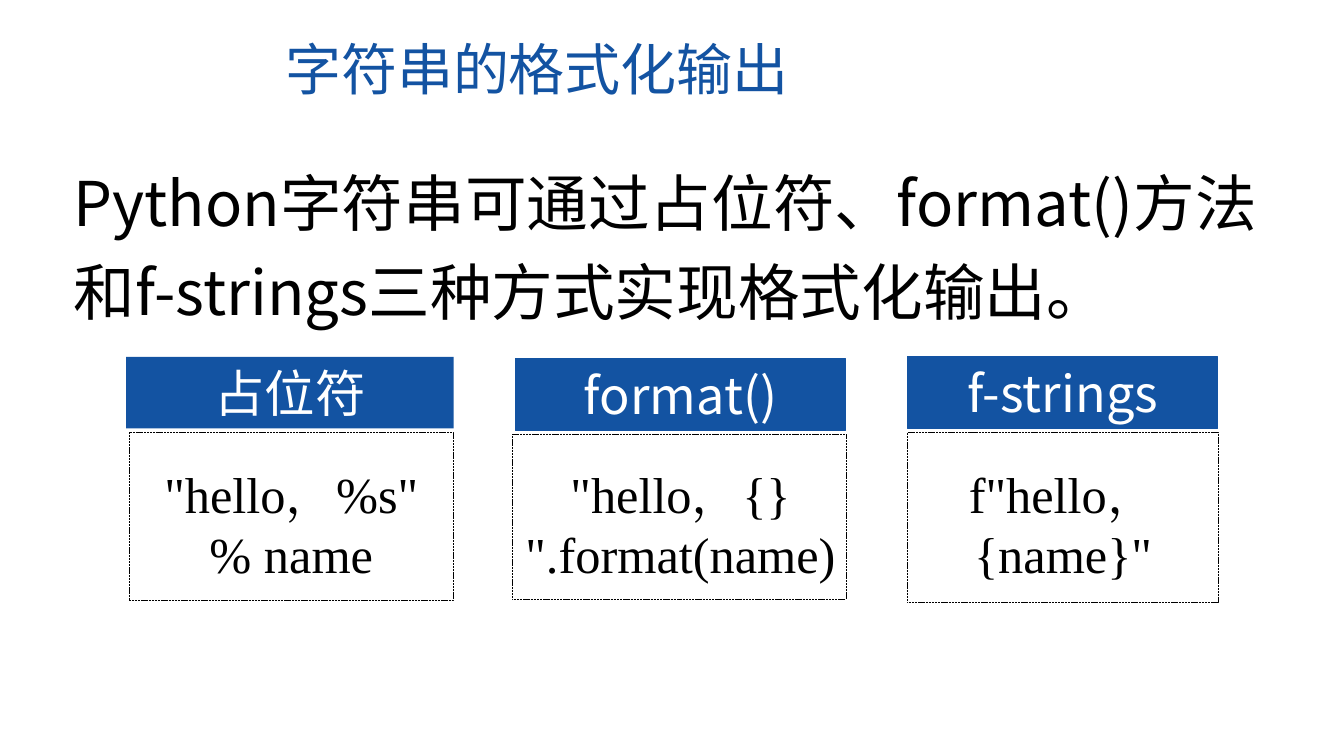
from lxml.etree import SubElement
from pptx import Presentation
from pptx.dml.color import RGBColor
from pptx.enum.dml import MSO_LINE
from pptx.enum.shapes import MSO_SHAPE
from pptx.enum.text import MSO_ANCHOR as Anchor, PP_ALIGN as Align
from pptx.oxml.ns import qn
from pptx.util import Inches, Pt

COLORS = {"blue": "1353A2", "black": "000000", "white": "FFFFFF"}
SANS = "Noto Sans CJK SC"
SERIF = "Times New Roman"


class SlideBuilder:
    def __init__(self, slide):
        self.slide = slide

    def color(self, name):
        return RGBColor.from_string(COLORS[name])

    def fill_text(self, shape, text, size, font, color, align, spacing=None):
        frame = shape.text_frame
        frame.word_wrap = True
        paragraph = frame.paragraphs[0]
        paragraph.text = text
        paragraph.alignment = align
        if spacing:
            paragraph.line_spacing = spacing
        paragraph.font.size = Pt(size)
        paragraph.font.name = font
        paragraph.font.color.rgb = self.color(color)
        defaults = paragraph._p.pPr.find(qn("a:defRPr"))
        SubElement(defaults, qn("a:ea")).set("typeface", font)

    def text(self, box, text, size, font=SANS, color="black", align=Align.LEFT, spacing=None):
        shape = self.slide.shapes.add_textbox(*map(Inches, box))
        self.fill_text(shape, text, size, font, color, align, spacing)

    def rectangle(self, box):
        shape = self.slide.shapes.add_shape(MSO_SHAPE.RECTANGLE, *map(Inches, box))
        shape.shadow.inherit = False
        return shape

    def frame(self, box):
        shape = self.rectangle(box)
        shape.fill.background()
        shape.line.color.rgb = self.color("black")
        shape.line.width = Pt(0.5)
        shape.line.dash_style = MSO_LINE.SQUARE_DOT

    def header(self, box, text, outlined):
        shape = self.rectangle(box)
        shape.fill.solid()
        shape.fill.fore_color.rgb = self.color("blue")
        if outlined:
            shape.line.color.rgb = self.color("blue")
            shape.line.width = Pt(0.75)
        else:
            shape.line.fill.background()
        shape.text_frame.vertical_anchor = Anchor.MIDDLE
        self.fill_text(shape, text, 36, SANS, "white", Align.CENTER)


METHODS = [
    ("占位符", (1.25, 3.54, 3.25, 0.71), False, (1.28, 4.29, 3.22, 1.67),
     '"hello，%s" % name', (1.41, 4.54, 2.96, 1.31)),
    ("format()", (5.11, 3.56, 3.28, 0.71), True, (5.08, 4.31, 3.31, 1.64),
     '"hello，{} ".format(name)', (5.11, 4.54, 3.28, 1.31)),
    ("f-strings", (9, 3.54, 3.08, 0.71), True, (9, 4.29, 3.08, 1.69),
     'f"hello，{name}"', (9.43, 4.54, 2.23, 1.31)),
]


def main():
    presentation = Presentation()
    presentation.slide_width = Inches(13.33)
    presentation.slide_height = Inches(7.5)
    builder = SlideBuilder(presentation.slides.add_slide(presentation.slide_layouts[6]))

    builder.text((2.73, 0.29, 5.88, 0.77), "字符串的格式化输出", 40, color="blue")
    builder.text((0.63, 1.44, 12.29, 1.88),
                 "Python字符串可通过占位符、format()方法和f-strings三种方式实现格式化输出。",
                 44, spacing=1.2)
    for name, header_box, outlined, frame_box, code, code_box in METHODS:
        builder.frame(frame_box)
        builder.header(header_box, name, outlined)
        builder.text(code_box, code, 36, font=SERIF, align=Align.CENTER)

    presentation.save("out.pptx")


if __name__ == "__main__":
    main()
